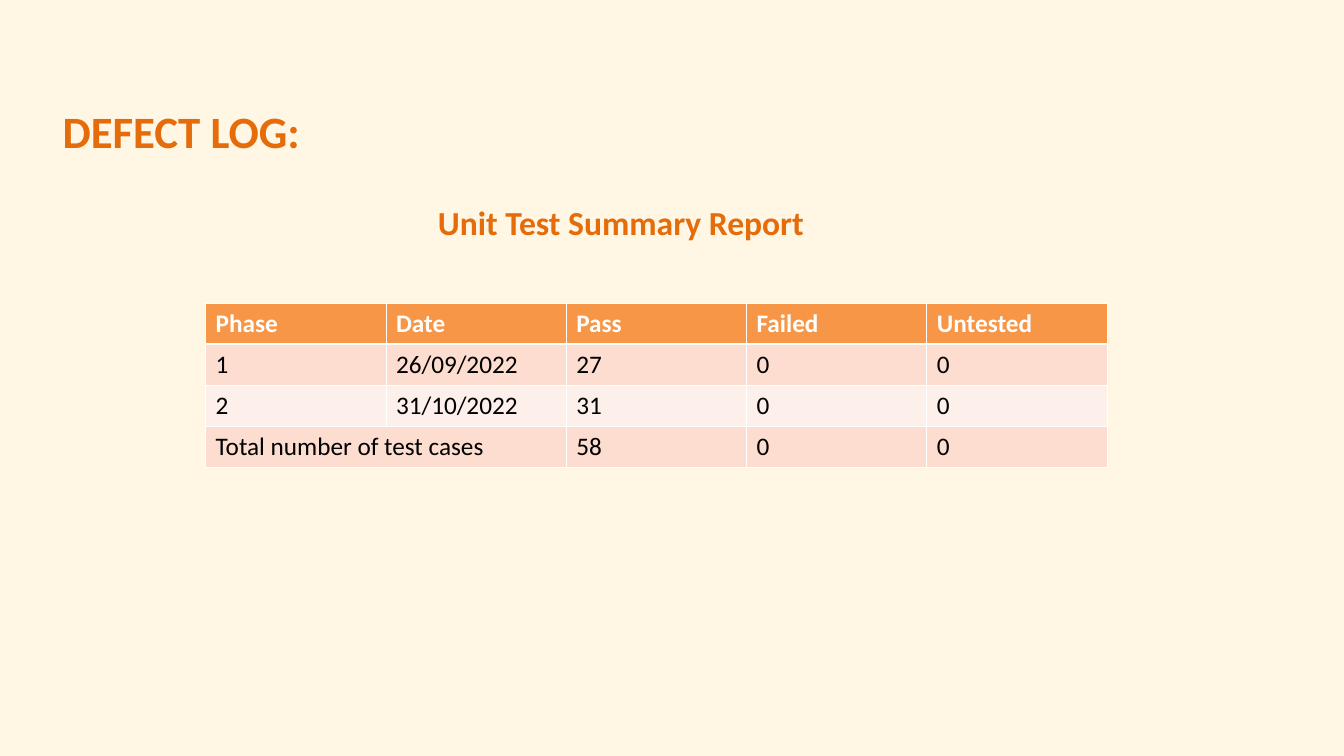
from dataclasses import dataclass

from lxml import etree
from pptx import Presentation
from pptx.dml.color import RGBColor
from pptx.enum.text import MSO_ANCHOR, MSO_AUTO_SIZE
from pptx.oxml.ns import qn
from pptx.util import Pt

TOP = MSO_ANCHOR.TOP
GROW = MSO_AUTO_SIZE.SHAPE_TO_FIT_TEXT

CREAM = RGBColor(0xFF, 0xF6, 0xE4)
DARK_ORANGE = RGBColor(0xE4, 0x6C, 0x0A)
ORANGE = RGBColor(0xF7, 0x96, 0x46)
PEACH = RGBColor(0xFC, 0xDD, 0xCF)
PALE_PEACH = RGBColor(0xFD, 0xEF, 0xE9)
WHITE = RGBColor(0xFF, 0xFF, 0xFF)
BLACK = RGBColor(0, 0, 0)

FONT = "Calibri"
BLANK_LAYOUT = 6
COLUMN_WIDTH = 193.2
ROW_HEIGHT = 44.1
THIN, THICK = 1, 3
CELL_FORMAT = {
    "margin_left": Pt(10.8),
    "margin_right": Pt(10.8),
    "margin_top": Pt(5.4),
    "margin_bottom": Pt(5.4),
    "vertical_anchor": TOP,
}
TABLE_FLAGS = {"first_row": False, "horz_banding": False}


@dataclass(frozen=True)
class Heading:
    text: str
    left: float
    top: float
    width: float
    height: float
    size: float
    wrap: bool


HEADINGS = [
    Heading("DEFECT LOG:", 60, 107.3, 420, 65.8, 48, True),
    Heading("Unit Test Summary Report", 462.2, 213.1, 410.4, 51.1, 36, False),
]
ROWS = [
    ["Phase", "Date", "Pass", "Failed", "Untested"],
    ["1", "26/09/2022", "27", "0", "0"],
    ["2", "31/10/2022", "31", "0", "0"],
    ["Total number of test cases", "", "58", "0", "0"],
]


def apply_format(target, values: dict) -> None:
    for name, value in values.items():
        setattr(target, name, value)


def write_text(frame, text: str, size: float, color: RGBColor, bold: bool) -> None:
    span = frame.paragraphs[0].add_run()
    span.text = text
    apply_format(span.font, {"name": FONT, "size": Pt(size), "bold": bold})
    span.font.color.rgb = color


def add_heading(slide, heading: Heading) -> None:
    box = slide.shapes.add_textbox(
        Pt(heading.left), Pt(heading.top), Pt(heading.width), Pt(heading.height)
    )
    apply_format(box.text_frame, {"word_wrap": heading.wrap, "auto_size": GROW})
    write_text(box.text_frame, heading.text, heading.size, DARK_ORANGE, True)


def add_borders(cell, widths: dict[str, int]) -> None:
    properties = cell._tc.get_or_add_tcPr()
    for side, width in widths.items():
        line = etree.SubElement(properties, qn(f"a:ln{side}"), w=str(Pt(width)))
        fill = etree.SubElement(line, qn("a:solidFill"))
        etree.SubElement(fill, qn("a:srgbClr"), val=str(WHITE))


def add_summary_table(slide, rows: list[list[str]], left: float, top: float) -> None:
    columns = len(rows[0])
    table = slide.shapes.add_table(
        len(rows), columns, Pt(left), Pt(top),
        Pt(COLUMN_WIDTH * columns), Pt(ROW_HEIGHT * len(rows)),
    ).table
    apply_format(table, TABLE_FLAGS)
    for column in table.columns:
        column.width = Pt(COLUMN_WIDTH)
    for index, values in enumerate(rows):
        table.rows[index].height = Pt(ROW_HEIGHT)
        header = index == 0
        band = ORANGE if header else PEACH if index % 2 else PALE_PEACH
        borders = {
            "L": THIN,
            "R": THIN,
            "T": THICK if index == 1 else THIN,
            "B": THICK if header else THIN,
        }
        for position, text in enumerate(values):
            cell = table.cell(index, position)
            apply_format(cell, CELL_FORMAT)
            add_borders(cell, borders)
            cell.fill.solid()
            cell.fill.fore_color.rgb = band
            if text:
                write_text(cell.text_frame, text, 27, WHITE if header else BLACK, header)
    total = len(rows) - 1
    table.cell(total, 0).merge(table.cell(total, 1))


def main() -> None:
    deck = Presentation()
    apply_format(deck, {"slide_width": Pt(1440), "slide_height": Pt(810)})
    slide = deck.slides.add_slide(deck.slide_layouts[BLANK_LAYOUT])
    slide.background.fill.solid()
    slide.background.fill.fore_color.rgb = CREAM
    for heading in HEADINGS:
        add_heading(slide, heading)
    add_summary_table(slide, ROWS, 220.3, 324.7)
    deck.save("out.pptx")


if __name__ == "__main__":
    main()
